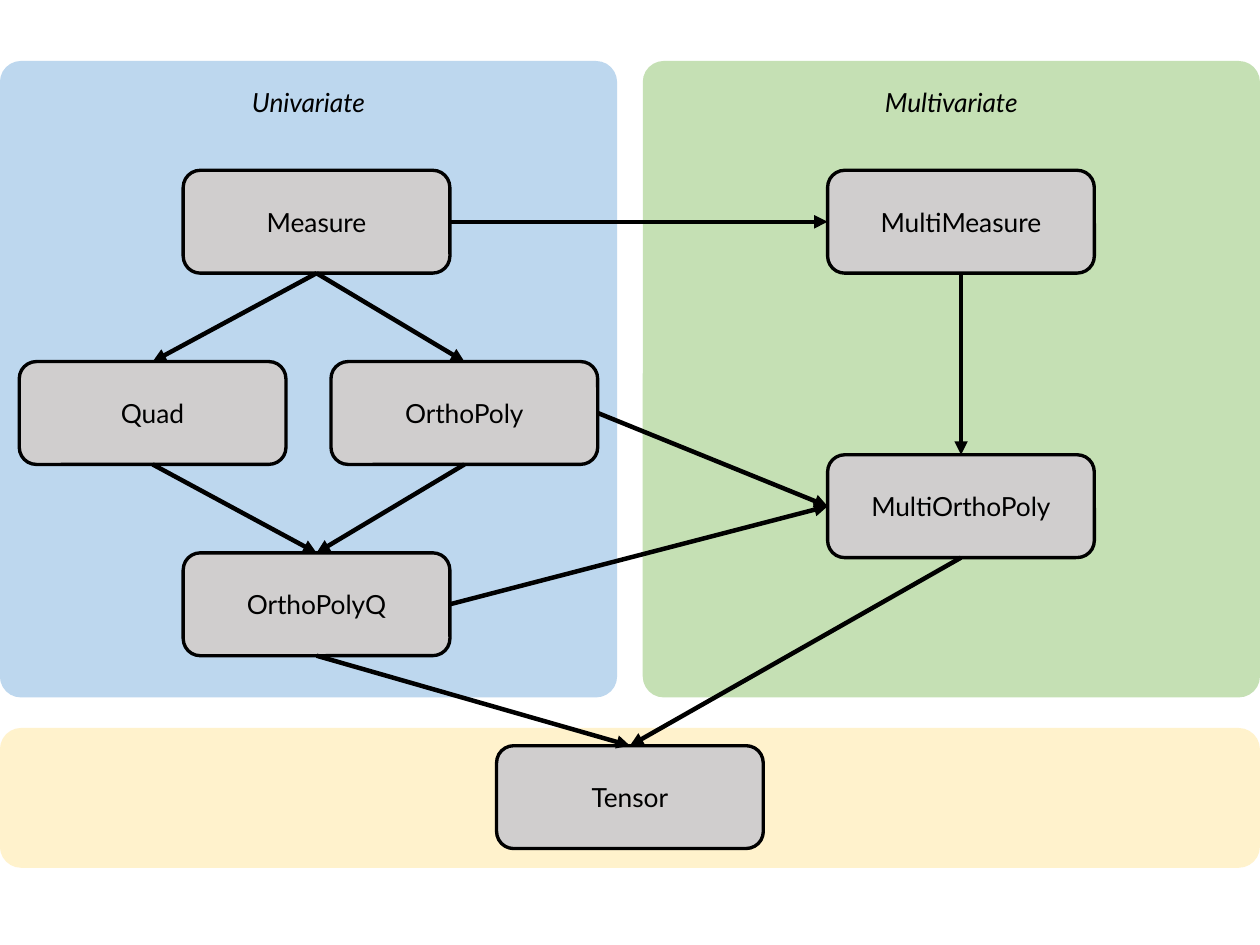
from lxml.etree import SubElement
from pptx import Presentation
from pptx.dml.color import RGBColor
from pptx.enum.shapes import MSO_CONNECTOR as Connector, MSO_SHAPE as Shape
from pptx.enum.text import MSO_ANCHOR as Anchor, PP_ALIGN as Align
from pptx.oxml.ns import qn
from pptx.util import Inches, Pt

COLORS = {
    "black": "000000",
    "box": "D0CECE",
    "tensor": "FFF2CC",
    "multivariate": "C5E0B4",
    "univariate": "BDD7EE",
}

PANELS = [
    ("", "tensor", (0, 4.53, 7.84, 0.87), 0.152),
    ("Multivariate", "multivariate", (4, 0.38, 3.84, 3.96), 0.034),
    ("Univariate", "univariate", (0, 0.38, 3.84, 3.96), 0.034),
]

BOX_WIDTH, BOX_HEIGHT = 1.66, 0.64
BOXES = {
    "MultiOrthoPoly": (5.15, 2.83),
    "MultiMeasure": (5.15, 1.06),
    "Measure": (1.14, 1.06),
    "OrthoPoly": (2.06, 2.25),
    "Quad": (0.12, 2.25),
    "OrthoPolyQ": (1.14, 3.44),
    "Tensor": (3.09, 4.64),
}

SITES = {"top": 0, "left": 1, "bottom": 2, "right": 3}
ARROWS = [
    ("MultiMeasure", "bottom", "MultiOrthoPoly", "top"),
    ("Measure", "right", "MultiMeasure", "left"),
    ("OrthoPoly", "right", "MultiOrthoPoly", "left"),
    ("OrthoPolyQ", "right", "MultiOrthoPoly", "left"),
    ("Measure", "bottom", "OrthoPoly", "top"),
    ("Measure", "bottom", "Quad", "top"),
    ("OrthoPoly", "bottom", "OrthoPolyQ", "top"),
    ("Quad", "bottom", "OrthoPolyQ", "top"),
    ("MultiOrthoPoly", "bottom", "Tensor", "top"),
    ("OrthoPolyQ", "bottom", "Tensor", "top"),
]

LABEL_FONT = {"name": "Lato", "size": Pt(11.8)}
PANEL_FRAME = {"margin_top": Inches(0.12), "vertical_anchor": Anchor.TOP, "word_wrap": True}
BOX_FRAME = {"vertical_anchor": Anchor.MIDDLE, "word_wrap": True}


def color(name):
    return RGBColor.from_string(COLORS[name])


def set_all(target, values):
    for attribute, value in values.items():
        setattr(target, attribute, value)


def add_rounded(slide, label, fill, place, frame_format, italic=False):
    rounded = slide.shapes.add_shape(Shape.ROUNDED_RECTANGLE, *map(Inches, place))
    rounded.shadow.inherit = False
    rounded.fill.solid()
    rounded.fill.fore_color.rgb = color(fill)
    rounded.line.fill.background()
    if label:
        set_all(rounded.text_frame, frame_format)
        paragraph = rounded.text_frame.paragraphs[0]
        paragraph.alignment = Align.CENTER
        run = paragraph.add_run()
        run.text = label
        set_all(run.font, {**LABEL_FONT, "italic": italic})
        run.font.color.rgb = color("black")
    return rounded


def set_line(line, width):
    line.color.rgb = color("black")
    line.width = Pt(width)


def add_arrow(slide, source, source_side, target, target_side):
    arrow = slide.shapes.add_connector(Connector.STRAIGHT, 0, 0, 0, 0)
    arrow.begin_connect(source, SITES[source_side])
    arrow.end_connect(target, SITES[target_side])
    set_line(arrow.line, 2)
    SubElement(arrow.line._get_or_add_ln(), qn("a:tailEnd"), type="triangle")
    SubElement(arrow._element.spPr, qn("a:effectLst"))


def main():
    deck = Presentation()
    set_all(deck, {"slide_width": Inches(7.84), "slide_height": Inches(5.88)})
    slide = deck.slides.add_slide(deck.slide_layouts.get_by_name("Blank"))

    for title, fill, place, rounding in PANELS:
        panel = add_rounded(slide, title, fill, place, PANEL_FRAME, italic=True)
        panel.adjustments[0] = rounding

    boxes = {}
    for name, corner in BOXES.items():
        place = (*corner, BOX_WIDTH, BOX_HEIGHT)
        boxes[name] = add_rounded(slide, name, "box", place, BOX_FRAME)
        set_line(boxes[name].line, 1.5)

    for source, source_side, target, target_side in ARROWS:
        add_arrow(slide, boxes[source], source_side, boxes[target], target_side)

    deck.save("out.pptx")


if __name__ == "__main__":
    main()
